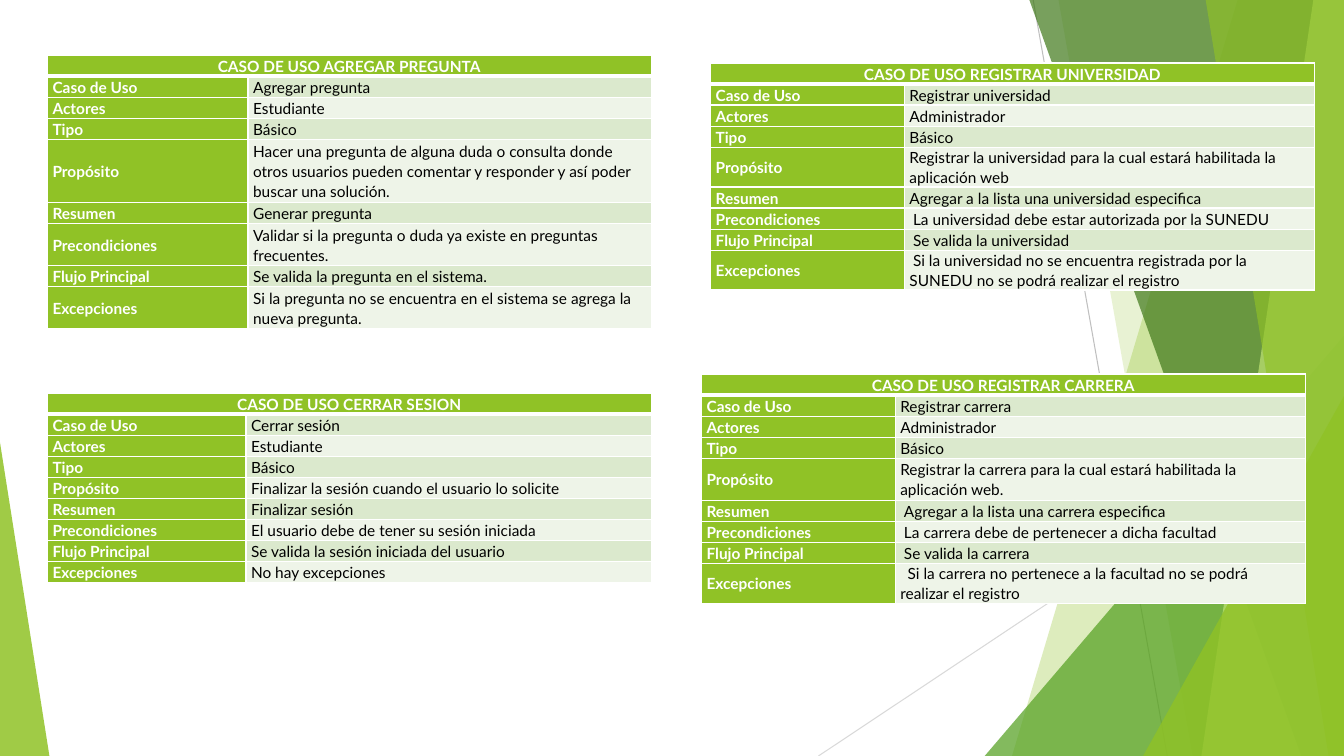
"""Build a slide with four use case tables over a faceted green backdrop."""
from pptx import Presentation
from pptx.dml.color import RGBColor
from pptx.enum import shapes, text
from pptx.oxml import ns, xmlchemy
from pptx.util import Pt
from lxml import etree

GREEN = RGBColor(0x90, 0xC2, 0x26)
LEAF = RGBColor(0x54, 0xA0, 0x21)
FOREST = RGBColor(0x3F, 0x78, 0x19)
LIME = RGBColor(0xC0, 0xE4, 0x74)
BAND_DARK = RGBColor(0xDB, 0xE9, 0xCD)
BAND_LIGHT = RGBColor(0xEE, 0xF4, 0xE8)
GREY = RGBColor(0xBF, 0xBF, 0xBF)
PALE_GREY = RGBColor(0xD9, 0xD9, 0xD9)
WHITE = RGBColor(0xFF, 0xFF, 0xFF)
BLACK = RGBColor(0, 0, 0)

WIDTH, HEIGHT, BLEED = 960, 540, -0.6
ROW, NBSP = 15.04, 2.6
TABLE_WIDTH = 431.3

LABELS = ["Caso de Uso", "Actores", "Tipo", "Propósito", "Resumen",
          "Precondiciones", "Flujo Principal", "Excepciones"]

USE_CASES = [
    dict(title="CASO DE USO AGREGAR PREGUNTA", left=33.9, top=39.5, label_width=143.3,
         tall={4: 3 * ROW, 6: 2 * ROW, 8: 2 * ROW}, indents={},
         values=["Agregar pregunta", "Estudiante", "Básico",
                 "Hacer una pregunta de alguna duda o consulta donde otros usuarios "
                 "pueden comentar y responder y así poder buscar una solución.",
                 "Generar pregunta",
                 "Validar si la pregunta o duda ya existe en preguntas frecuentes.",
                 "Se valida la pregunta en el sistema.",
                 "Si la pregunta no se encuentra en el sistema se agrega la nueva pregunta."]),
    dict(title="CASO DE USO CERRAR SESION", left=33.9, top=280.9, label_width=141.8,
         tall={}, indents={},
         values=["Cerrar sesión", "Estudiante", "Básico",
                 "Finalizar la sesión cuando el usuario lo solicite",
                 "Finalizar sesión",
                 "El usuario debe de tener su sesión iniciada",
                 "Se valida la sesión iniciada del usuario",
                 "No hay excepciones"]),
    dict(title="CASO DE USO REGISTRAR UNIVERSIDAD", left=507.6, top=45, label_width=138.4,
         tall={4: 28.2, 8: 28.2}, indents={6: 1, 7: 1, 8: 1},
         values=["Registrar universidad", "Administrador", "Básico",
                 "Registrar la universidad para la cual estará habilitada la aplicación web",
                 "Agregar a la lista una universidad especifica",
                 "La universidad debe estar autorizada por la SUNEDU",
                 "Se valida la universidad",
                 "Si la universidad no se encuentra registrada por la SUNEDU "
                 "no se podrá realizar el registro"]),
    dict(title="CASO DE USO REGISTRAR CARRERA", left=501.1, top=267.2, label_width=138.4,
         tall={4: 2 * ROW, 8: 28.2}, indents={5: 1, 6: 1, 7: 1, 8: 2},
         values=["Registrar carrera", "Administrador", "Básico",
                 "Registrar la carrera para la cual estará habilitada la aplicación web.",
                 "Agregar a la lista una carrera especifica",
                 "La carrera debe de pertenecer a dicha facultad",
                 "Se valida la carrera",
                 "Si la carrera no pertenece a la facultad no se podrá realizar el registro"]),
]

LINES = [((738, 0), (833.8, HEIGHT), GREY), ((WIDTH, 290.2), (584.6, HEIGHT), PALE_GREY)]

FACETS = [
    ("band", (884.2, 722.9), GREEN, 30),
    ("band", (756, 851.8), GREEN, 20),
    ("triangle", (703.4, 239.8, 256.6, 1), LEAF, 72),
    ("band", (735.1, 929.5), FOREST, 70),
    ("band", (938.2, 858.2), LIME, 70),
    ("band", (861.1, 949), GREEN, 65),
    ("triangle", (816.5, 283, 143.5, 1), GREEN, 80),
    ("triangle", (0, 316.1, 35.3, 0), GREEN, 85),
]


def sub(parent, tag, **attrs):
    return etree.SubElement(parent, ns.qn(tag), attrs)


def add_band(group, top_x, bottom_x):
    points = [(top_x, BLEED), (WIDTH, BLEED), (WIDTH, HEIGHT), (bottom_x, HEIGHT)]
    points = [(Pt(x), Pt(y)) for x, y in points]
    builder = group.shapes.build_freeform(*points[0])
    builder.add_line_segments(points[1:], close=True)
    return builder.convert_to_shape()


def add_triangle(group, left, top, width, apex):
    sp = group.shapes.add_shape(shapes.MSO_SHAPE.ISOSCELES_TRIANGLE, Pt(left), Pt(top),
                                Pt(width), Pt(HEIGHT - top))
    sp.adjustments[0] = apex
    return sp


def add_backdrop(s):
    group = s.shapes.add_group_shape()
    for start, end, color in LINES:
        line = group.shapes.add_connector(shapes.MSO_CONNECTOR.STRAIGHT,
                                          *(Pt(v) for v in start + end))
        line.line.color.rgb = color
        line.line.width = Pt(0.75)
        sub(line._element.spPr, "a:effectLst")
    makers = {"band": add_band, "triangle": add_triangle}
    for kind, geometry, color, opacity in FACETS:
        sp = makers[kind](group, *geometry)
        sp.shadow.inherit = False
        sp.line.fill.background()
        sp.fill.solid()
        sp.fill.fore_color.rgb = color
        clr = sp._element.spPr.find(".//" + ns.qn("a:srgbClr"))
        sub(clr, "a:alpha", val=str(opacity * 1000))


def style_cell(cell, content, fill, header, label, indent):
    tcPr = cell._tc.get_or_add_tcPr()
    for side in "LRTB":
        width = 3 if header and side == "B" else 1
        ln = sub(tcPr, "a:ln" + side, w=str(Pt(width)))
        sub(sub(ln, "a:solidFill"), "a:srgbClr", val=str(WHITE))
    cell.fill.solid()
    cell.fill.fore_color.rgb = fill
    layout = dict(margin_left=Pt(3.6), margin_right=Pt(3.6), margin_top=0, margin_bottom=0,
                  vertical_anchor=text.MSO_ANCHOR.MIDDLE)
    for name, value in layout.items():
        setattr(cell, name, value)
    p = cell.text_frame.paragraphs[0]
    p.line_spacing = 1.07
    p.alignment = text.PP_ALIGN.CENTER if header else text.PP_ALIGN.LEFT
    if indent:
        p._p.get_or_add_pPr().set("indent", str(Pt(indent * NBSP)))
    if content:
        r = p.add_run()
        r.text = content
        for name, value in dict(name="Lato", size=Pt(11), bold=label).items():
            setattr(r.font, name, value)
        r.font.color.rgb = WHITE if label else BLACK


def add_use_case(s, case):
    rows = [(case["title"], "")] + list(zip(LABELS, case["values"]))
    heights = [case["tall"].get(i, ROW) for i in range(len(rows))]
    table = s.shapes.add_table(len(rows), 2, Pt(case["left"]), Pt(case["top"]),
                               Pt(TABLE_WIDTH), Pt(sum(heights))).table
    table.columns[0].width = Pt(case["label_width"])
    table.columns[1].width = Pt(TABLE_WIDTH - case["label_width"])
    for i, row in enumerate(rows):
        table.rows[i].height = Pt(heights[i])
        for j, content in enumerate(row):
            label = i == 0 or j == 0
            fill = GREEN if label else BAND_DARK if i % 2 else BAND_LIGHT
            indent = 0 if label else case["indents"].get(i, 0)
            style_cell(table.cell(i, j), content, fill, i == 0, label, indent)
    table.cell(0, 0).merge(table.cell(0, 1))


def main():
    prs = Presentation()
    prs.slide_width, prs.slide_height = Pt(WIDTH), Pt(HEIGHT)
    s = prs.slides.add_slide(prs.slide_layouts[6])
    add_backdrop(s)
    for case in USE_CASES:
        add_use_case(s, case)
    prs.save("out.pptx")


if __name__ == "__main__":
    main()
